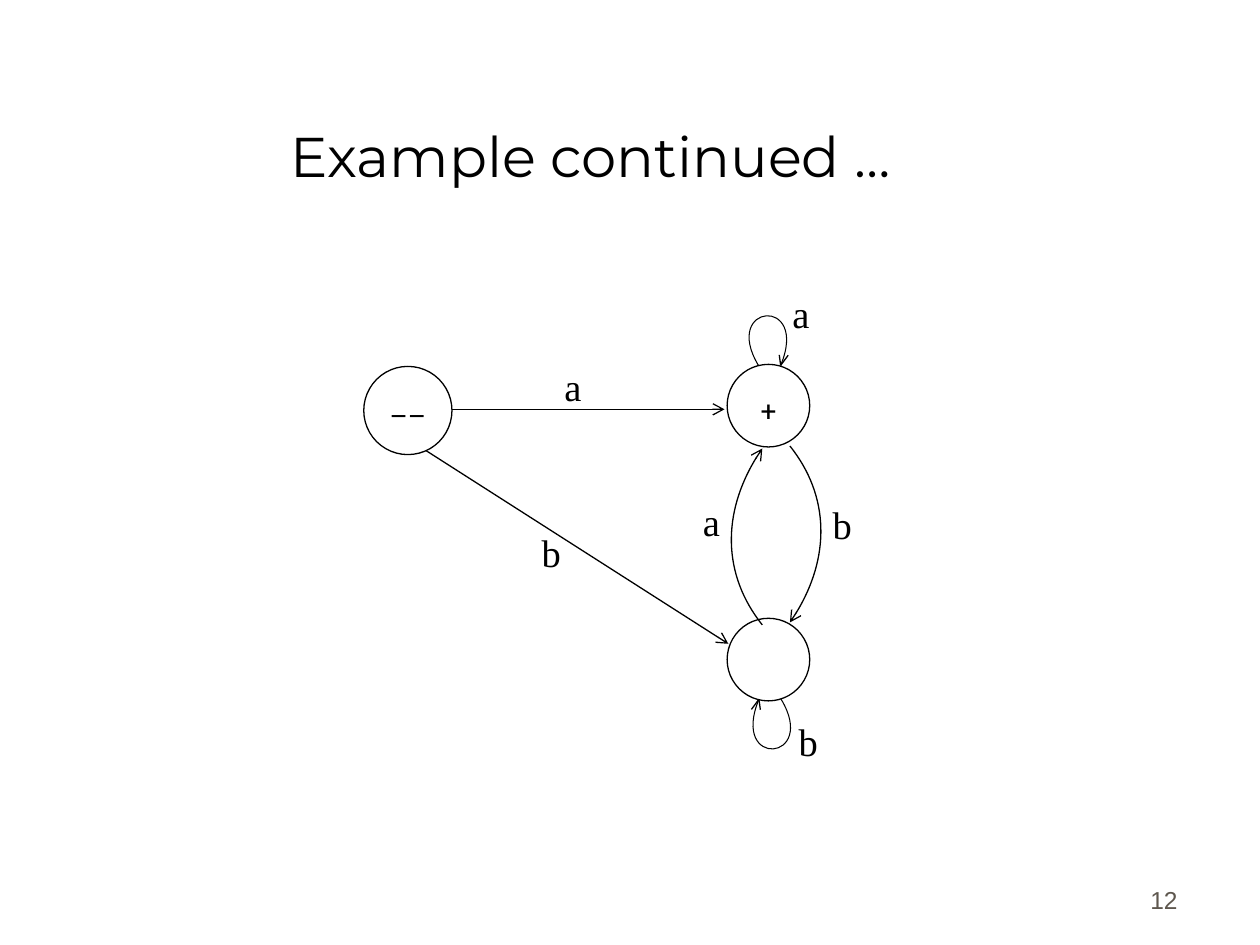
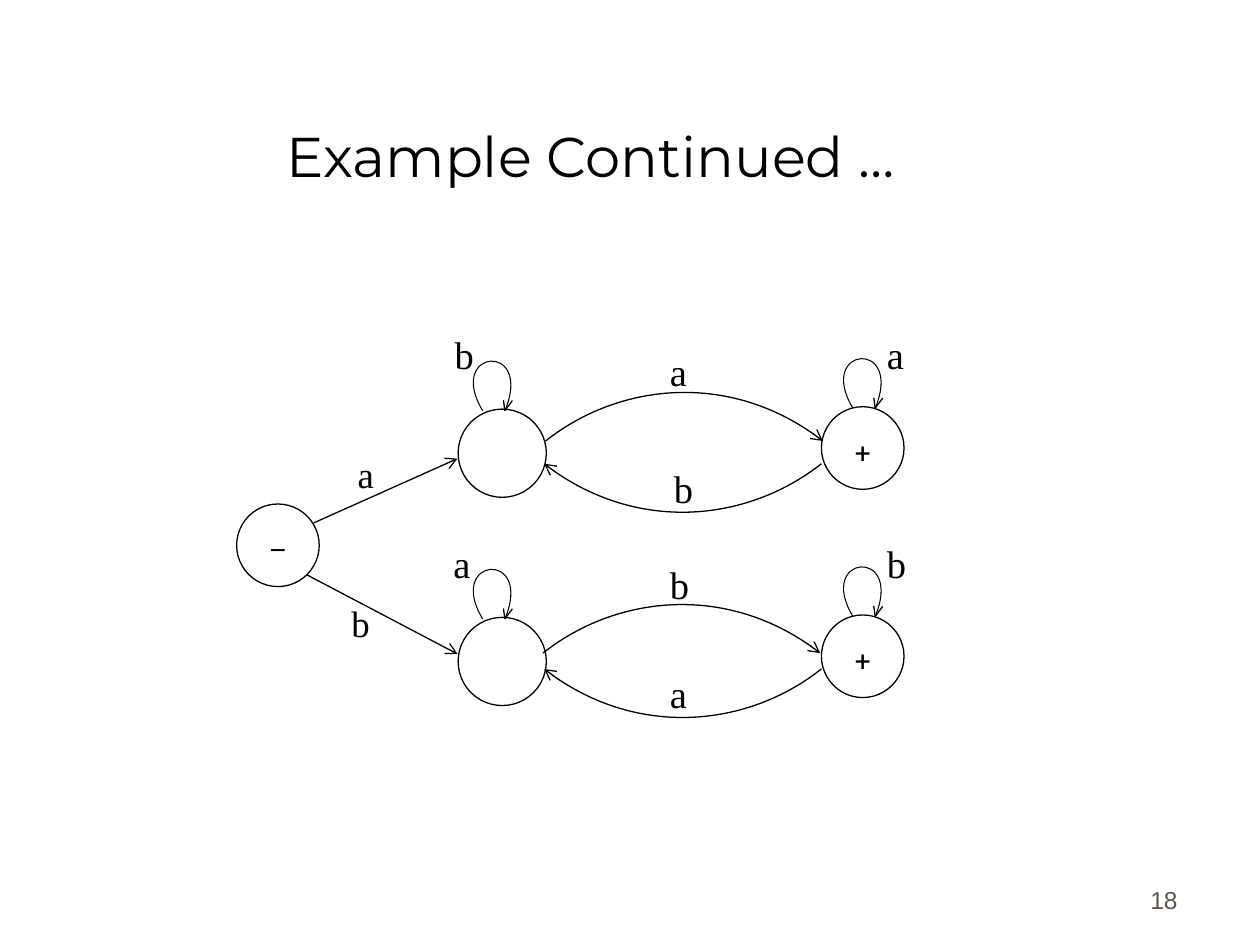
from typing import NamedTuple

from lxml import etree
from pptx import Presentation
from pptx.dml.color import RGBColor
from pptx.enum.shapes import MSO_CONNECTOR, MSO_SHAPE
from pptx.enum.text import MSO_ANCHOR, MSO_AUTO_SIZE, PP_ALIGN
from pptx.oxml.ns import qn
from pptx.util import Pt

COLORS = {"ink": "000000", "paper": "FFFFFF", "number": "5E574E"}
TITLE_FONT, NUMBER_FONT = "Montserrat", "Arial"
STATE_FONT, LABEL_FONT = "Roboto", "Times New Roman"

SMALL, LARGE = 47.2, 50.4  # state diameters
ROW_GAP = 119

# Bézier offsets from the start point: two controls, then the end
LOOP = ((-21.4, -35.6), (29.3, -40), (12.7, 0))
VERTICAL_ARC = ((23, 28.8), (23, 68), (0, 100.8))
WIDE_ARC = ((41, -32.4), (106.6, -40.3), (158.4, 0))
LOOP_BARBS = ((4.3, -5.8), (-0.8, -6))


class State(NamedTuple):
    x: float
    y: float
    size: float
    mark: str = ""


class Arrow(NamedTuple):
    x1: float
    y1: float
    x2: float
    y2: float


class Curve(NamedTuple):
    x: float
    y: float
    bend: tuple
    turn: int = 1  # -1 turns the curve by 180 degrees


class Label(NamedTuple):
    text: str
    x: float
    y: float
    size: float = 22


class Automaton(NamedTuple):
    title: str
    number: int
    arrows: list[Arrow]
    states: list[State]
    curves: list[Curve]
    labels: list[Label]


ROWS = (0, ROW_GAP)
AUTOMATA = [
    Automaton(
        "Example continued …", 12,
        arrows=[Arrow(254.9, 233.9, 414, 233.9), Arrow(240.5, 255.6, 416.2, 367.9)],
        states=[State(207.9, 209.4, LARGE, "––"), State(415.5, 208.2, SMALL, "+"),
                State(415.5, 353.3, SMALL)],
        curves=[Curve(433.4, 208.8, LOOP), Curve(446.4, 399.6, LOOP, -1),
                Curve(451.4, 254.9, VERTICAL_ARC), Curve(435.6, 357.1, VERTICAL_ARC, -1)],
        labels=[Label("a", 445.7, 162), Label("b", 302.4, 298.8),
                Label("b", 449.3, 406.8), Label("b", 468.7, 283),
                Label("a", 394.6, 280.8), Label("a", 315.4, 203.8)],
    ),
    Automaton(
        "Example Continued …", 18,
        arrows=[Arrow(179.3, 298.8, 261.4, 262.1), Arrow(175, 328.3, 261.4, 373.7)],
        states=[State(135.2, 288, SMALL, "–")]
        + [State(261.8, 233.8 + dy, LARGE) for dy in ROWS]
        + [State(469.4, 232.4 + dy, SMALL, "+") for dy in ROWS],
        curves=[Curve(x, y + dy, LOOP) for dy in ROWS
                for x, y in ((275.8, 234.7), (487.4, 233.3))]
        + [Curve(311.8, 252, WIDE_ARC), Curve(469.4, 265, WIDE_ARC, -1),
           Curve(310.3, 373.2, WIDE_ARC), Curve(469.4, 382.3, WIDE_ARC, -1)],
        labels=[Label("a", 197.3, 254.9, 21), Label("b", 193.7, 339.8, 21),
                Label("b", 252.7, 185.8), Label("a", 375.8, 195.1),
                Label("b", 378, 262.1), Label("a", 499.7, 185.8),
                Label("a", 252, 305.3), Label("b", 375.8, 316.8),
                Label("a", 375.8, 379.4), Label("b", 499.7, 305.3)],
    ),
]


def color(name: str) -> RGBColor:
    return RGBColor.from_string(COLORS[name])


def format_text(tf, font: str, size: float, ink: str = "ink", align=PP_ALIGN.LEFT) -> None:
    p = tf.paragraphs[0]
    p.alignment = align
    for r in p.runs:
        r.font.name, r.font.size = font, Pt(size)
        r.font.color.rgb = color(ink)


def set_margins(tf, top: float = 0) -> None:
    tf.margin_left = tf.margin_right = tf.margin_bottom = 0
    tf.margin_top = Pt(top)


def style_line(sp, width: float = 0.75, arrow: bool = False) -> None:
    sp.line.color.rgb = color("ink")
    sp.line.width = Pt(width)
    if arrow:
        ln = sp._element.find(".//" + qn("a:ln"))
        etree.SubElement(ln, qn("a:tailEnd"), type="arrow")


def add_title(s, text: str) -> None:
    sp = s.shapes.title
    sp.left, sp.top, sp.width, sp.height = Pt(31.7), Pt(18), Pt(612), Pt(90)
    tf = sp.text_frame
    tf.text = text
    tf.auto_size = MSO_AUTO_SIZE.NONE
    tf.vertical_anchor = MSO_ANCHOR.BOTTOM
    set_margins(tf)
    format_text(tf, TITLE_FONT, 32, align=PP_ALIGN.CENTER)


def add_number(s, number: int) -> None:
    tf = s.shapes.add_textbox(Pt(530), Pt(490.3), Pt(150), Pt(36)).text_frame
    tf.text = str(number)
    tf.word_wrap = True
    tf.vertical_anchor = MSO_ANCHOR.BOTTOM
    format_text(tf, NUMBER_FONT, 14, "number", PP_ALIGN.RIGHT)


def add_segment(s, x1: float, y1: float, x2: float, y2: float, arrow: bool = False) -> None:
    sp = s.shapes.add_connector(MSO_CONNECTOR.STRAIGHT, Pt(x1), Pt(y1), Pt(x2), Pt(y2))
    style_line(sp, arrow=arrow)
    etree.SubElement(sp._element.spPr, qn("a:effectLst"))


def add_state(s, state: State) -> None:
    sp = s.shapes.add_shape(MSO_SHAPE.OVAL, Pt(state.x), Pt(state.y),
                            Pt(state.size), Pt(state.size))
    sp.shadow.inherit = False
    sp.fill.solid()
    sp.fill.fore_color.rgb = color("paper")
    style_line(sp)
    if state.mark:
        tf = sp.text_frame
        tf.text = state.mark
        tf.vertical_anchor = MSO_ANCHOR.MIDDLE
        set_margins(tf, top=5)
        format_text(tf, STATE_FONT, 16, align=PP_ALIGN.CENTER)


def add_curve(s, curve: Curve) -> None:
    """Draw a cubic curve; a loop gets its small head from two barbs."""
    points = [(curve.x + curve.turn * dx, curve.y + curve.turn * dy)
              for dx, dy in curve.bend]
    builder = s.shapes.build_freeform(Pt(curve.x), Pt(curve.y))
    builder.add_line_segments([(Pt(x), Pt(y)) for x, y in points], close=False)
    sp = builder.convert_to_shape()
    outline = sp._element.find(".//" + qn("a:path"))
    segments = outline.findall(qn("a:lnTo"))
    bezier = etree.SubElement(outline, qn("a:cubicBezTo"))
    for segment in segments:
        bezier.append(segment[0])
        outline.remove(segment)
    sp.shadow.inherit = False
    sp.fill.background()
    is_loop = curve.bend is LOOP
    style_line(sp, width=0.6 if is_loop else 0.75, arrow=not is_loop)
    if is_loop:
        x, y = points[-1]
        for dx, dy in LOOP_BARBS:
            add_segment(s, x, y, x + curve.turn * dx, y + curve.turn * dy)


def add_label(s, label: Label) -> None:
    tf = s.shapes.add_textbox(Pt(label.x), Pt(label.y), Pt(36), Pt(36)).text_frame
    tf.text = label.text
    tf.word_wrap = True
    format_text(tf, LABEL_FONT, label.size)


def add_automaton(prs, automaton: Automaton) -> None:
    s = prs.slides.add_slide(prs.slide_layouts[5])
    add_title(s, automaton.title)
    add_number(s, automaton.number)
    for arrow in automaton.arrows:
        add_segment(s, *arrow, arrow=True)
    for state in automaton.states:
        add_state(s, state)
    for curve in automaton.curves:
        add_curve(s, curve)
    for label in automaton.labels:
        add_label(s, label)


def main() -> None:
    prs = Presentation()
    prs.slide_width, prs.slide_height = Pt(720), Pt(540)
    for automaton in AUTOMATA:
        add_automaton(prs, automaton)
    prs.save("out.pptx")


if __name__ == "__main__":
    main()
